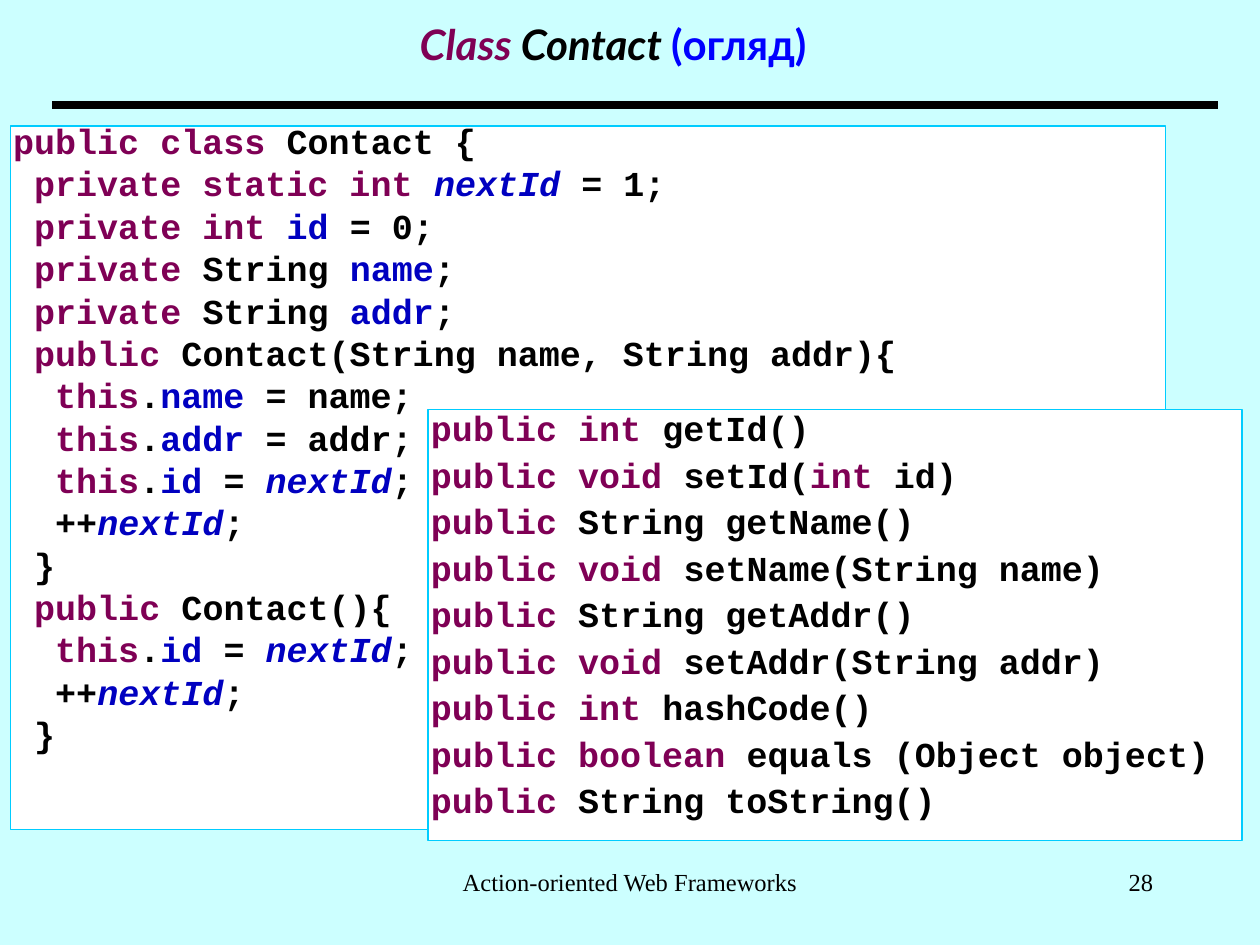
from lxml import etree
from pptx import Presentation
from pptx.dml.color import RGBColor
from pptx.enum.shapes import MSO_CONNECTOR, MSO_SHAPE
from pptx.enum.text import MSO_ANCHOR, PP_ALIGN
from pptx.oxml.ns import qn
from pptx.util import Pt

BLACK = RGBColor(0x00, 0x00, 0x00)
WHITE = RGBColor(0xFF, 0xFF, 0xFF)
PALE_CYAN = RGBColor(0xCC, 0xFF, 0xFF)
BORDER_CYAN = RGBColor(0x00, 0xCC, 0xFF)
KEYWORD_PURPLE = RGBColor(0x7F, 0x00, 0x55)
FIELD_BLUE = RGBColor(0x00, 0x00, 0xC0)
TITLE_BLUE = RGBColor(0x00, 0x00, 0xFF)

# Code runs are split by "|"; a run's first character picks its style.
CODE_STYLES = {
    "#": {"color": KEYWORD_PURPLE, "italic": False},
    "@": {"color": FIELD_BLUE, "italic": False},
    "*": {"color": FIELD_BLUE, "italic": True},
}
PLAIN_CODE = {"color": BLACK, "italic": False}

CLASS_CODE = [
    "#public class| Contact {",
    "# private static int |*nextId| = 1;",
    "# private int |@id| = 0;",
    "# private| String |@name|;",
    "# private| String |@addr|;",
    "# public| Contact(String name, String addr){",
    "#  this|.|@name| = name;",
    "#  this|.|@addr| = addr;",
    "#  this|.|@id| = |*nextId|;",
    "  ++|*nextId|;",
    " }",
    "# public| Contact(){",
    "#  this|.|@id| = |*nextId|;",
    "  ++|*nextId|;",
    " }",
]
METHOD_CODE = [
    "#public int| getId()",
    "#public void| setId(|#int| id)",
    "#public| String getName()",
    "#public void| setName(String name)",
    "#public| String getAddr()",
    "#public void| setAddr(String addr)",
    "#public int| hashCode()",
    "#public boolean| equals (Object object)",
    "#public| String toString()",
]
# Code, box (left, top, width, height), line spacing
CODE_PANELS = [
    (CLASS_CODE, (6, 72, 660, 402), 0.8),
    (METHOD_CODE, (244.8, 234, 465.12, 246.24), 0.9),
]

TITLE_RUNS = [
    ("Class", {"color": KEYWORD_PURPLE, "italic": True}),
    (" Contact ", {"color": BLACK, "italic": True}),
    ("(огляд)", {"color": TITLE_BLUE, "italic": False}),
]
TITLE_BOX = (0, 0, 720, 54)
TITLE_INSETS = (7.2, 3.6, 26.4, 3.6)
TITLE_FONT = {"name": "Lato", "size": Pt(24), "bold": True}

RULE_LEFT, RULE_RIGHT, RULE_TOP = 30, 696, 60
CODE_INSETS = (1.5, 1, 0, 1)
CODE_FONT = {"name": "Courier New", "size": Pt(20), "bold": True}

FOOTERS = [
    ("Action-oriented Web Frameworks", (246, 492, 228, 36), PP_ALIGN.CENTER),
    ("28", (516, 492, 150, 36), PP_ALIGN.RIGHT),
]
FOOTER_INSETS = (7.2, 3.6, 7.2, 3.6)
FOOTER_FONT = {"name": "Times New Roman", "size": Pt(14), "bold": False}


def points(values):
    return [Pt(value) for value in values]


def code_runs(line):
    """Split a marked code line into (text, style) pairs."""
    return [
        (part[1:], CODE_STYLES[part[0]]) if part[0] in CODE_STYLES else (part, PLAIN_CODE)
        for part in line.split("|")
    ]


def write_text(shape, lines, font, insets, anchor=MSO_ANCHOR.TOP, **paragraph_format):
    """Fill a shape with lines, each a list of (text, style) runs."""
    frame = shape.text_frame
    frame.word_wrap = True
    frame.vertical_anchor = anchor
    for side, inset in zip(("left", "top", "right", "bottom"), points(insets)):
        setattr(frame, f"margin_{side}", inset)
    for index, runs in enumerate(lines):
        paragraph = frame.add_paragraph() if index else frame.paragraphs[0]
        for name, value in paragraph_format.items():
            setattr(paragraph, name, value)
        for text, style in runs:
            run = paragraph.add_run()
            run.text = text
            for name, value in font.items():
                setattr(run.font, name, value)
            run.font.italic = style["italic"]
            run.font.color.rgb = style["color"]


def add_title(slide):
    title = slide.shapes.add_textbox(*points(TITLE_BOX))
    write_text(title, [TITLE_RUNS], TITLE_FONT, TITLE_INSETS, MSO_ANCHOR.MIDDLE,
               alignment=PP_ALIGN.CENTER, line_spacing=0.9)


def add_rule(slide):
    ends = points((RULE_LEFT, RULE_TOP, RULE_RIGHT, RULE_TOP))
    rule = slide.shapes.add_connector(MSO_CONNECTOR.STRAIGHT, *ends)
    rule.line.color.rgb = BLACK
    rule.line.width = Pt(4.5)
    etree.SubElement(rule._element.spPr, qn("a:effectLst"))


def add_code_panel(slide, code, box, line_spacing):
    panel = slide.shapes.add_shape(MSO_SHAPE.RECTANGLE, *points(box))
    panel.shadow.inherit = False
    panel.fill.solid()
    panel.fill.fore_color.rgb = WHITE
    panel.line.color.rgb = BORDER_CYAN
    panel.line.width = Pt(1)
    write_text(panel, [code_runs(line) for line in code], CODE_FONT, CODE_INSETS,
               alignment=PP_ALIGN.LEFT, line_spacing=line_spacing, space_before=Pt(5))


def add_footer(slide, text, box, alignment):
    footer = slide.shapes.add_textbox(*points(box))
    write_text(footer, [[(text, PLAIN_CODE)]], FOOTER_FONT, FOOTER_INSETS,
               alignment=alignment)


def main():
    presentation = Presentation()
    presentation.slide_width, presentation.slide_height = points((720, 540))
    slide = presentation.slides.add_slide(presentation.slide_layouts[6])
    slide.background.fill.solid()
    slide.background.fill.fore_color.rgb = PALE_CYAN
    add_title(slide)
    add_rule(slide)
    for panel in CODE_PANELS:
        add_code_panel(slide, *panel)
    for footer in FOOTERS:
        add_footer(slide, *footer)
    presentation.save("out.pptx")


if __name__ == "__main__":
    main()
